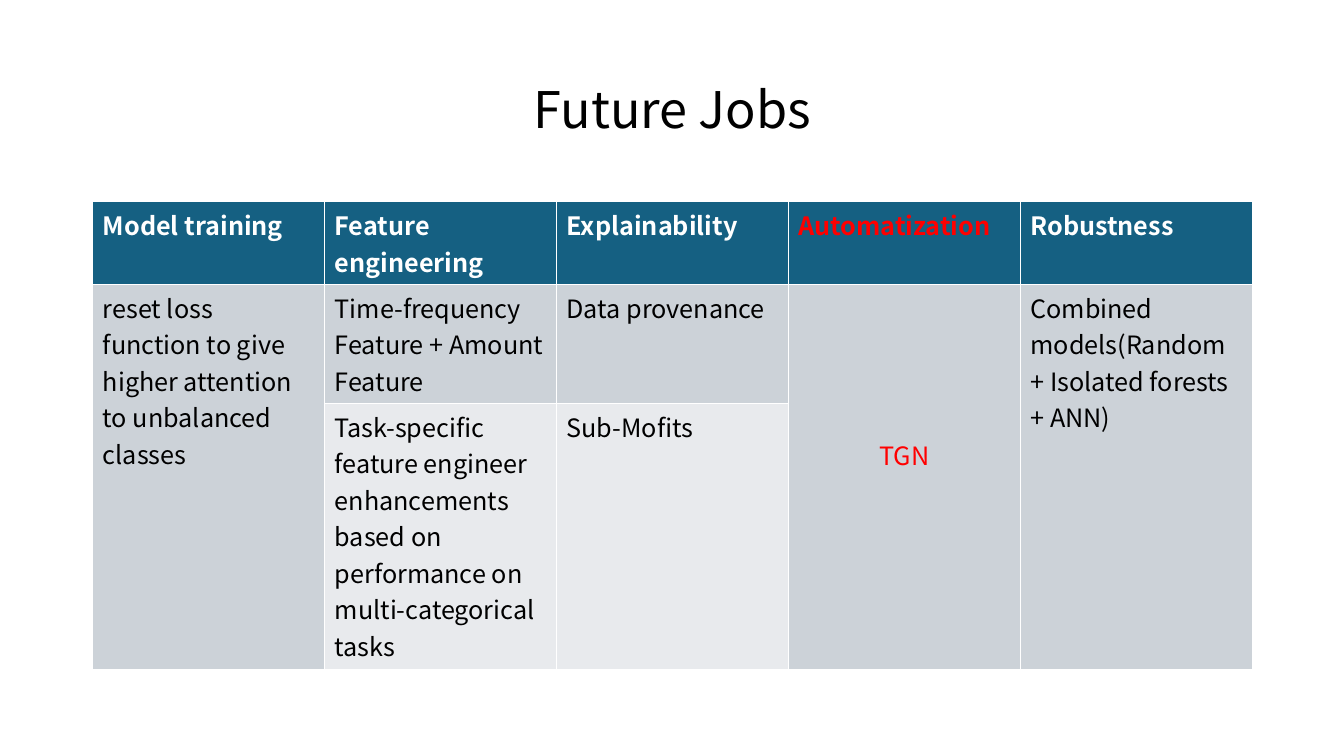
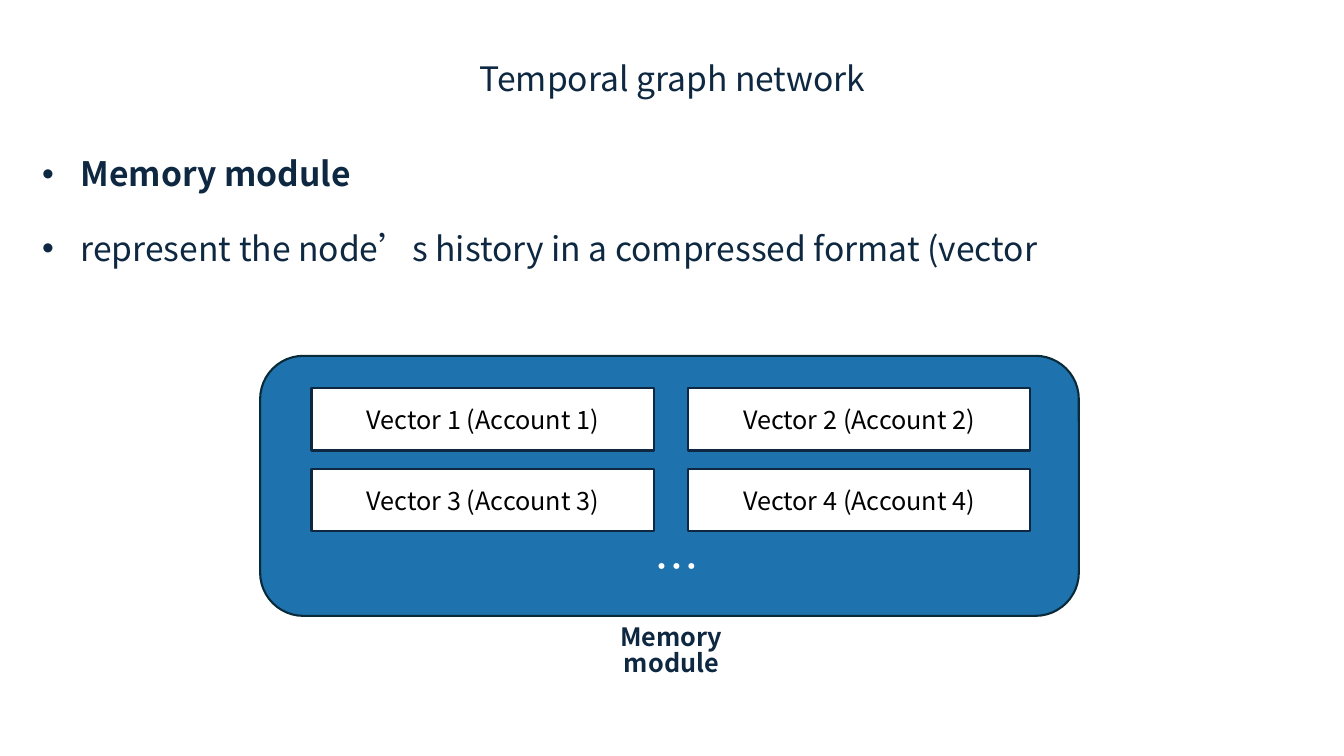
from dataclasses import dataclass

from lxml import etree
from pptx import Presentation
from pptx.dml.color import RGBColor
from pptx.enum import shapes, text
from pptx.oxml.ns import qn
from pptx.util import Inches, Pt

LEFT, CENTER = text.PP_ALIGN.LEFT, text.PP_ALIGN.CENTER
TOP, MIDDLE, BOTTOM = text.MSO_ANCHOR.TOP, text.MSO_ANCHOR.MIDDLE, text.MSO_ANCHOR.BOTTOM


@dataclass(frozen=True)
class Theme:
    """Colours, type sizes and line spacing shared by the slides."""
    font: str = "Noto Sans CJK SC"
    black: str = "000000"
    white: str = "FFFFFF"
    navy: str = "0E2841"
    red: str = "FF0000"
    header: str = "156082"
    band_dark: str = "CCD2D8"
    band_light: str = "E8EAED"
    panel: str = "1E73AE"
    panel_line: str = "092A39"
    body: int = 18
    lead: int = 24
    dots: int = 32
    title: int = 36
    tight: float = 0.83


THEME = Theme()


def write(frame, content, size=THEME.body, color=THEME.black, bold=False, align=LEFT,
          anchor=TOP, spacing=1.0, before=0, bullet=False, added=False):
    """Write one formatted paragraph into a text frame."""
    frame.vertical_anchor = anchor
    paragraph = frame.add_paragraph() if added else frame.paragraphs[0]
    paragraph.alignment = align
    paragraph.line_spacing = spacing
    if before:
        paragraph.space_before = Pt(before)
    if bullet:
        properties = paragraph._p.get_or_add_pPr()
        properties.set("marL", str(Inches(0.38)))
        properties.set("indent", str(-Inches(0.38)))
        etree.SubElement(properties, qn("a:buFont")).set("typeface", "Arial")
        etree.SubElement(properties, qn("a:buChar")).set("char", "•")
    run = paragraph.add_run()
    run.text = content
    run.font.size = Pt(size)
    run.font.bold = bold
    run.font.color.rgb = RGBColor.from_string(color)
    run.font.name = THEME.font
    etree.SubElement(run._r.get_or_add_rPr(), qn("a:ea")).set("typeface", THEME.font)


def add_text(slide, box, content, wrap=True, **style):
    """Add a text box and return its frame."""
    frame = slide.shapes.add_textbox(*map(Inches, box)).text_frame
    frame.word_wrap = wrap
    write(frame, content, **style)
    return frame


def add_title(slide, box, content, **style):
    """Add a centred slide title."""
    add_text(slide, box, content, align=CENTER, spacing=THEME.tight, **style)


def add_block(slide, kind, box, fill, line):
    """Add a filled, outlined shape."""
    shape = slide.shapes.add_shape(kind, *map(Inches, box))
    shape.shadow.inherit = False
    shape.fill.solid()
    shape.fill.fore_color.rgb = RGBColor.from_string(fill)
    shape.line.color.rgb = RGBColor.from_string(line)
    shape.line.width = Pt(1.5)
    return shape


def add_jobs_table(slide, box):
    """Place the table of future jobs, with three columns merged below the header."""
    rows = [
        ["Model training", "Feature engineering", "Explainability", "Automatization", "Robustness"],
        ["reset loss function to give higher attention to unbalanced classes",
         "Time-frequency Feature + Amount Feature", "Data provenance", "TGN",
         "Combined models(Random + Isolated forests + ANN)"],
        ["", "Task-specific feature engineer enhancements based on performance on "
         "multi-categorical tasks", "Sub-Mofits", "", ""],
    ]
    fills = [THEME.header, THEME.band_dark, THEME.band_light]
    table = slide.shapes.add_table(3, 5, *map(Inches, box)).table
    table.horz_banding = False
    for row, height in zip(table.rows, (0.82, 1.18, 2.64)):
        row.height = Inches(height)
    for column in (0, 3, 4):
        table.cell(1, column).merge(table.cell(2, column))
    for row, contents in enumerate(rows):
        for column, content in enumerate(contents):
            cell = table.cell(row, column)
            cell.fill.solid()
            cell.fill.fore_color.rgb = RGBColor.from_string(fills[row])
            if content:
                plain = THEME.black if row else THEME.white
                write(cell.text_frame, content, bold=row == 0,
                      align=CENTER if content == "TGN" else LEFT,
                      color=THEME.red if column == 3 else plain)
    network = table.cell(1, 3)
    network.vertical_anchor = MIDDLE
    network.margin_bottom = Inches(0.5)


def add_memory_module(slide, box):
    """Place the memory panel with its grid of vectors, dots and caption."""
    left, top, width, height = box
    add_block(slide, shapes.MSO_SHAPE.ROUNDED_RECTANGLE, box, THEME.panel, THEME.panel_line)
    for index in range(4):
        row, column = divmod(index, 2)
        place = (left + 0.51 + column * 3.73, top + 0.32 + row * 0.8, 3.4, 0.62)
        vector = add_block(slide, shapes.MSO_SHAPE.RECTANGLE, place, THEME.white, THEME.navy)
        write(vector.text_frame, f"Vector {index + 1} (Account {index + 1})",
              align=CENTER, anchor=MIDDLE)
    add_text(slide, (left + 3.81, top + 1.86, 0.52, 0.64), "…", wrap=False,
             size=THEME.dots, color=THEME.white, spacing=THEME.tight)
    add_text(slide, (left + width / 2 - 0.68, top + height + 0.06, 1.4, 0.7), "Memory module",
             color=THEME.navy, bold=True, align=CENTER, spacing=THEME.tight)


def build_jobs(slide):
    """Build the slide on future jobs."""
    add_title(slide, (0.92, 0.4, 11.5, 1.45), "Future Jobs", size=THEME.title, anchor=MIDDLE)
    add_jobs_table(slide, (0.92, 2, 11.5, 4.64))


def build_network(slide):
    """Build the slide on the temporal graph network."""
    add_title(slide, (0.85, 0.17, 11.64, 0.85), "Temporal graph network",
              size=THEME.lead, color=THEME.navy, anchor=BOTTOM)
    style = dict(size=THEME.lead, color=THEME.navy, spacing=THEME.tight, bullet=True)
    frame = add_text(slide, (0.32, 1.54, 12.69, 1.31), "Memory module", bold=True, **style)
    write(frame, "represent the node’s history in a compressed format (vector",
          before=29, added=True, **style)
    add_memory_module(slide, (2.58, 3.53, 8.12, 2.58))


def main():
    """Build and save the presentation."""
    presentation = Presentation()
    presentation.slide_width = Inches(13.33)
    presentation.slide_height = Inches(7.5)
    for build in (build_jobs, build_network):
        build(presentation.slides.add_slide(presentation.slide_layouts[6]))
    presentation.save("out.pptx")


if __name__ == "__main__":
    main()
